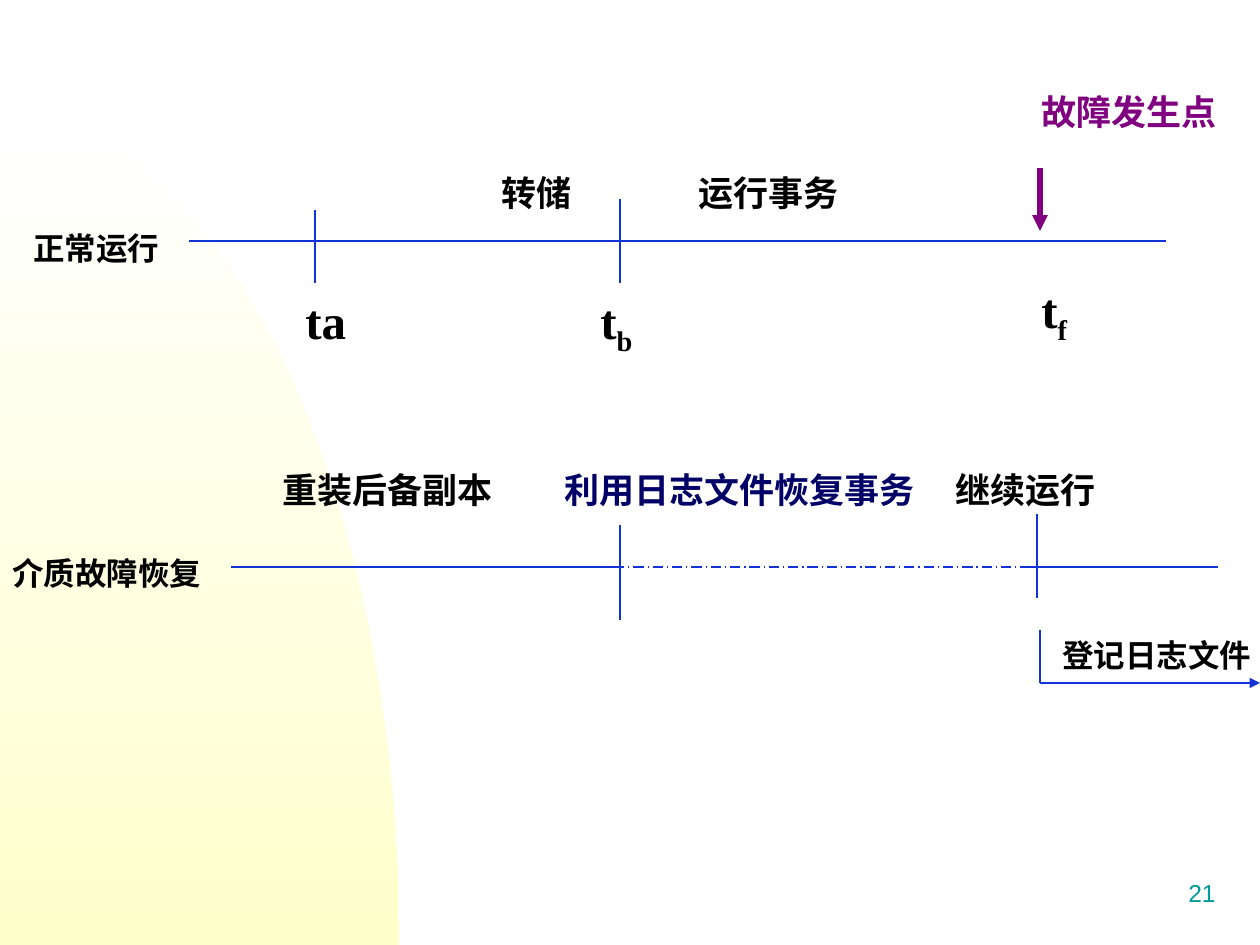
import math

from lxml import etree
from pptx import Presentation
from pptx.dml.color import RGBColor
from pptx.enum.dml import MSO_LINE
from pptx.enum.shapes import MSO_CONNECTOR
from pptx.enum.text import MSO_ANCHOR, PP_ALIGN
from pptx.oxml.ns import qn
from pptx.util import Emu, Pt

PX = 914400 / 126
STRAIGHT = MSO_CONNECTOR.STRAIGHT
DASH_DOT = MSO_LINE.LONG_DASH_DOT
LEFT, RIGHT = PP_ALIGN.LEFT, PP_ALIGN.RIGHT
TOP, MIDDLE = MSO_ANCHOR.TOP, MSO_ANCHOR.MIDDLE

WIDTH, HEIGHT = 1260, 945
COLORS = {
    "axis": "1233D6", "failure": "800080", "text": "010000",
    "log": "000066", "number": "009999", "white": "FFFFFF", "cream": "FFFFCC",
}
CJK, LATIN, NUMBER_FONT = "Noto Sans CJK SC", "Times New Roman", "Arial"
CURVE_RADII = (399, 829)
CURVE_STEPS = 60

# Left, top, width, height, text, size, color
LABELS = [
    (1029, 84, 220, 55, "故障发生点", 20, "failure"),
    (489, 165, 120, 55, "转储", 20, "text"),
    (686, 165, 200, 55, "运行事务", 20, "text"),
    (21, 223, 252, 50, "正常运行", 18, "text"),
    (270, 462, 270, 55, "重装后备副本", 20, "text"),
    (552, 462, 390, 55, "利用日志文件恢复事务", 20, "log"),
    (943, 462, 200, 55, "继续运行", 20, "text"),
    (0, 548, 284, 50, "介质故障恢复", 18, "text"),
    (1050, 630, 214, 50, "登记日志文件", 18, "text"),
]
# Left, top, text, subscript
TIMES = [(293, 284, "ta", ""), (588, 284, "t", "b"), (1029, 273, "t", "f")]

# Start x, start y, end x, end y
AXES = [(189, 241, 1166, 241), (231, 567, 614, 567), (1027, 567, 1218, 567)]
TICKS = [
    (315, 210, 315, 283), (620, 199, 620, 283),
    (620, 525, 620, 620), (1037, 514, 1037, 598),
]
LOG_REPLAY = (614, 567, 1034, 567)
LOG_STEM = (1040, 630, 1040, 683)
LOG_ARROW = (1040, 683, 1260, 683)
FAILURE_ARROW = (1040, 168, 1040, 231)


def px(value):
    return Emu(round(value * PX))


def rgb(name):
    return RGBColor.from_string(COLORS[name])


def add_run(paragraph, text, size, color, font, bold=True):
    run = paragraph.add_run()
    run.text = text
    run.font.size = Pt(size)
    run.font.bold = bold
    run.font.name = font
    run.font.color.rgb = rgb(color)
    properties = run._r.get_or_add_rPr()
    etree.SubElement(properties, qn("a:ea")).set("typeface", CJK)
    return run


def add_text_box(slide, left, top, width, height, align=LEFT, anchor=TOP):
    """Add an empty text box and return its first paragraph."""
    box = slide.shapes.add_textbox(px(left), px(top), px(width), px(height))
    box.text_frame.word_wrap = True
    box.text_frame.vertical_anchor = anchor
    paragraph = box.text_frame.paragraphs[0]
    paragraph.alignment = align
    return paragraph


def add_line(slide, ends, color="axis", weight=0.75, dash=None, arrow=False):
    connector = slide.shapes.add_connector(STRAIGHT, *map(px, ends))
    connector.line.color.rgb = rgb(color)
    connector.line.width = Pt(weight)
    if dash:
        connector.line.dash_style = dash
    if arrow:
        line = connector.line._get_or_add_ln()
        etree.SubElement(line, qn("a:tailEnd")).set("type", "triangle")
    etree.SubElement(connector._element.spPr, qn("a:effectLst"))


def add_background_curve(slide):
    """Draw a quarter ellipse rising from the bottom left corner."""
    radius_x, radius_y = CURVE_RADII
    angles = [math.pi / 2 * step / CURVE_STEPS for step in range(CURVE_STEPS + 1)]
    points = [(px(radius_x * math.sin(angle)),
               px(HEIGHT - radius_y * math.cos(angle))) for angle in angles]
    builder = slide.shapes.build_freeform(*points[0])
    builder.add_line_segments(points[1:] + [(0, px(HEIGHT))], close=True)
    curve = builder.convert_to_shape()
    curve.shadow.inherit = False
    curve.line.fill.background()
    curve.fill.gradient()
    curve.fill.gradient_angle = 270
    for stop, color in zip(curve.fill.gradient_stops, ("white", "cream")):
        stop.color.rgb = rgb(color)


def main():
    presentation = Presentation()
    presentation.slide_width, presentation.slide_height = px(WIDTH), px(HEIGHT)
    slide = presentation.slides.add_slide(presentation.slide_layouts[6])

    add_background_curve(slide)
    number = add_text_box(slide, 966, 861, 262, 63, RIGHT, MIDDLE)
    add_run(number, "21", 14, "number", NUMBER_FONT, bold=False)

    for ends in AXES + TICKS + [LOG_STEM]:
        add_line(slide, ends)
    add_line(slide, LOG_REPLAY, dash=DASH_DOT)
    add_line(slide, LOG_ARROW, arrow=True)
    add_line(slide, FAILURE_ARROW, "failure", 3, arrow=True)

    for left, top, width, height, text, size, color in LABELS:
        paragraph = add_text_box(slide, left, top, width, height)
        add_run(paragraph, text, size, color, LATIN)

    for left, top, text, subscript in TIMES:
        paragraph = add_text_box(slide, left, top, 105, 76)
        add_run(paragraph, text, 28, "text", LATIN)
        if subscript:
            run = add_run(paragraph, subscript, 28, "text", LATIN)
            run._r.get_or_add_rPr().set("baseline", "-25000")

    presentation.save("out.pptx")


if __name__ == "__main__":
    main()
